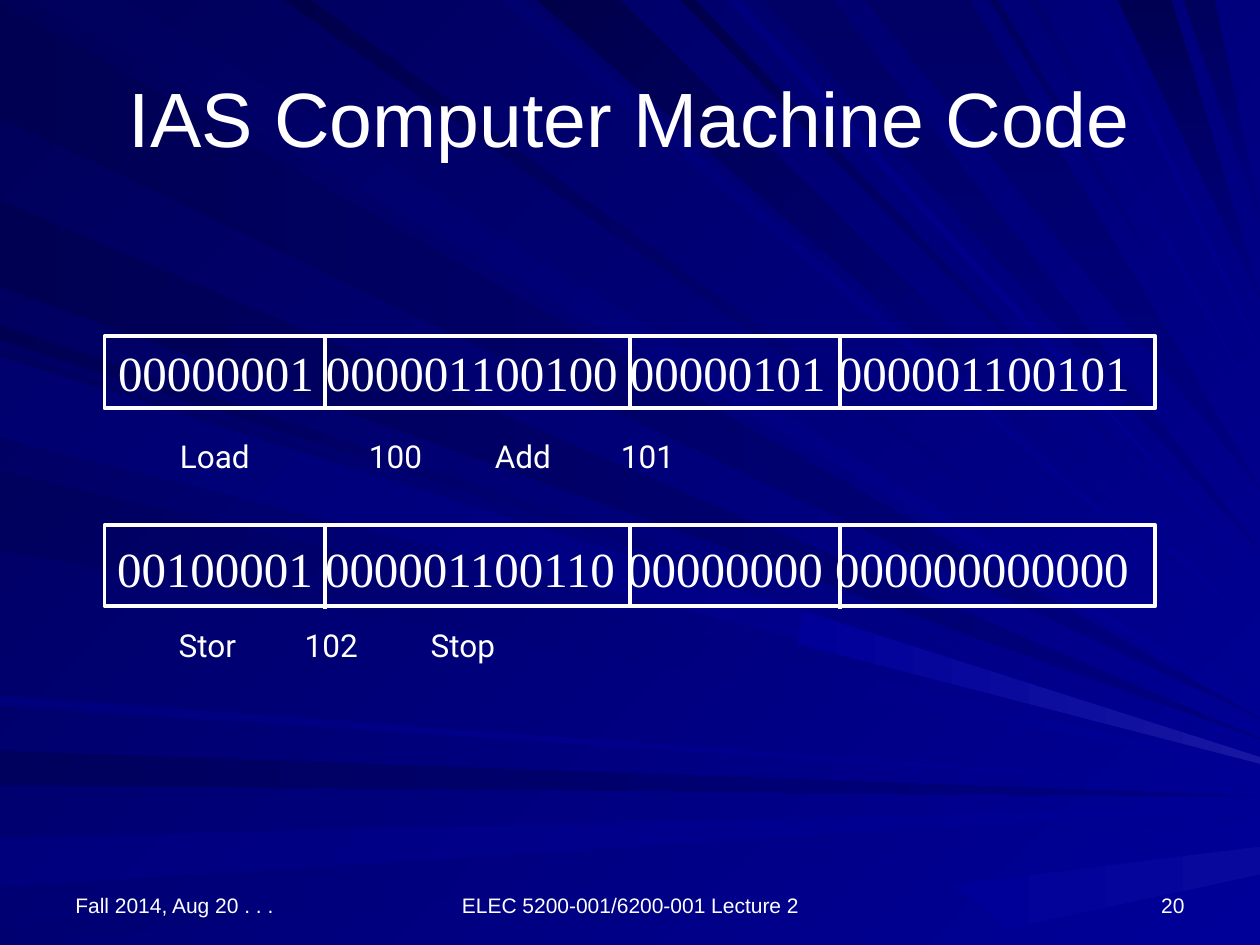
import math
from dataclasses import dataclass

import pptx
import pptx.dml.color
import pptx.enum.shapes
import pptx.enum.text
import pptx.oxml.ns
import pptx.util
from lxml import etree

Inches = pptx.util.Inches
Pt = pptx.util.Pt
ALIGN = pptx.enum.text.PP_ALIGN
ANCHOR = pptx.enum.text.MSO_ANCHOR

COLOURS = {
    "white": "FFFFFF", "blue": "000099", "navy": "000080", "glow": "1717A2",
    "faint glow": "08089C", "corner": "000058", "black": "00004A",
    "dark": "000053", "dusk": "00005D", "deep": "000065", "mid": "00006F",
    "soft": "00007D",
}
WIDTH, HEIGHT = 10, 7.5


@dataclass
class Ray:
    """A beam that enters between two places on one edge and narrows to the right."""
    near: float
    far: float
    start: str
    end: str = "blue"


@dataclass
class Word:
    """One memory word: bits in a box, with decoded fields below."""
    top: float
    height: float
    divider: float
    bits: str
    space_size: int
    label_left: float
    label_width: float
    labels: list[str]


@dataclass
class Footer:
    left: float
    width: float
    text: str
    align: ALIGN


LEFT_RAYS = [
    Ray(0.02, 0.93, "dark", "navy"), Ray(5.96, 6.23, "dusk", "navy"),
    Ray(6.65, 7.04, "soft"), Ray(7.35, 7.5, "mid"), Ray(2.58, 2.7, "dark"),
    Ray(1.59, 2.28, "dark", "navy"), Ray(2.78, 3.42, "dusk"),
    Ray(3.74, 4.37, "dusk"), Ray(5.52, 5.6, "soft"), Ray(2.83, 3.47, "mid"),
]
TOP_RAYS = [
    Ray(0.26, 1.01, "dusk"), Ray(3.98, 4.16, "mid"), Ray(4.26, 4.92, "black"),
    Ray(5.4, 5.52, "black"), Ray(6.06, 6.61, "deep", "navy"),
    Ray(8.87, 9.3, "dark", "navy"), Ray(9.39, 9.64, "dusk", "navy"),
    Ray(2.25, 2.47, "black"), Ray(5.77, 5.88, "soft"),
    Ray(6.86, 7.7, "deep", "navy"), Ray(7.85, 7.92, "dusk"),
    Ray(8.15, 8.24, "mid"), Ray(8.65, 8.72, "soft"),
]
WORDS = [
    Word(2.67, 0.57, 0.58, "00000001 000001100100 00000101 000001100101", 28,
         1.33, 6.63, ["Load", "100", "Add", "101"]),
    Word(4.17, 0.64, 0.66, "00100001 000001100110 00000000 000000000000", 32,
         1.32, 4.73, ["Stor", "102", "Stop"]),
]
BOX_LEFT, BOX_WIDTH = 0.83, 8.34
CENTRE = BOX_LEFT + BOX_WIDTH / 2
DIVIDERS = [CENTRE, 2.58, 6.67]
FOOTERS = [
    Footer(0.5, 2.33, "Fall 2014, Aug 20 . . .", ALIGN.LEFT),
    Footer(3.42, 3.17, "ELEC 5200-001/6200-001 Lecture 2", ALIGN.CENTER),
    Footer(7.17, 2.33, "20", ALIGN.RIGHT),
]


def rgb(name: str) -> pptx.dml.color.RGBColor:
    return pptx.dml.color.RGBColor.from_string(COLOURS[name])


def set_gradient(fill, start: str, end: str, angle: int) -> None:
    fill.gradient()
    fill.gradient_angle = (360 - angle) % 360
    for stop, name in zip(fill.gradient_stops, (start, end)):
        stop.color.rgb = rgb(name)


def set_font(p, font: str, size: int, align: ALIGN) -> None:
    p.alignment = align
    p.font.name = font
    p.font.size = Pt(size)
    p.font.color.rgb = rgb("white")


def set_outline(line) -> None:
    line.color.rgb = rgb("white")
    line.width = Pt(2.25)


def draw_beam(s, corners: list[tuple[float, float]], start: str, end: str, angle: int) -> None:
    points = [(Inches(x), Inches(y)) for x, y in corners]
    builder = s.shapes.build_freeform(*points[0])
    builder.add_line_segments(points[1:], close=True)
    sp = builder.convert_to_shape()
    sp.shadow.inherit = False
    sp.line.fill.background()
    set_gradient(sp.fill, start, end, angle)


def draw_rays(s) -> None:
    # Tips of the top rays lie on an ellipse, those of the left rays on a line
    horizon = 5.65
    for ray in TOP_RAYS:
        middle = (ray.near + ray.far) / 2
        tip = (WIDTH, horizon * math.sqrt(1 - (middle / WIDTH) ** 2))
        draw_beam(s, [(ray.near, 0), tip, (ray.far, 0)], ray.start, ray.end,
                  90 if ray.end == "navy" else 45)
    for ray in LEFT_RAYS:
        tip = (WIDTH, horizon + 0.11 * (ray.near + ray.far) / 2)
        draw_beam(s, [(0, ray.near), tip, (0, ray.far)], ray.start, ray.end,
                  0 if ray.end == "navy" else 45)
    draw_beam(s, [(6.37, 4.85), (6.33, 5.11), (WIDTH, 6.06), (WIDTH, 6.01)], "blue", "glow", 0)
    draw_beam(s, [(7.56, 7.02), (8, 7.37), (WIDTH, 6.94), (WIDTH, 6.72)], "blue", "faint glow", 0)


def add_text(s, left: float, top: float, width: float, height: float, text: str,
             font: str, size: int, align: ALIGN = ALIGN.LEFT):
    sp = s.shapes.add_textbox(Inches(left), Inches(top), Inches(width), Inches(height))
    tf = sp.text_frame
    tf.text = text
    set_font(tf.paragraphs[0], font, size, align)
    return tf


def draw_word(s, word: Word) -> None:
    box = s.shapes.add_shape(pptx.enum.shapes.MSO_SHAPE.RECTANGLE, Inches(BOX_LEFT),
                             Inches(word.top), Inches(BOX_WIDTH), Inches(word.height))
    box.shadow.inherit = False
    box.fill.background()
    set_outline(box.line)
    tf = box.text_frame
    tf.word_wrap = True
    tf.vertical_anchor = ANCHOR.TOP
    p = tf.paragraphs[0]
    set_font(p, "Times New Roman", 28, ALIGN.CENTER)
    p.add_run().text = word.bits
    r = p.add_run()
    r.text = " "
    r.font.size = Pt(word.space_size)

    for x in DIVIDERS:
        line = s.shapes.add_connector(
            pptx.enum.shapes.MSO_CONNECTOR.STRAIGHT, Inches(x), Inches(word.top),
            Inches(x), Inches(word.top + word.divider))
        set_outline(line.line)
        etree.SubElement(line._element.spPr, pptx.oxml.ns.qn("a:effectLst"))
        if x == CENTRE:
            line.begin_connect(box, 0)
            line.end_connect(box, 2)

    add_text(s, word.label_left, word.top + 0.75, word.label_width, 0.4,
             "\t\t".join(word.labels), "Roboto", 18)


def main() -> None:
    prs = pptx.Presentation()
    prs.slide_width, prs.slide_height = Inches(WIDTH), Inches(HEIGHT)
    s = prs.slides.add_slide(prs.slide_layouts[5])

    # Background with light rays
    set_gradient(s.background.fill, "corner", "blue", 45)
    draw_rays(s)

    # Title, brought in front of the rays
    title = s.shapes.title
    title.left, title.top = Inches(0.5), Inches(0.3)
    title.width, title.height = Inches(9), Inches(1.25)
    title.text_frame.text = "IAS Computer Machine Code"
    title.text_frame.vertical_anchor = ANCHOR.MIDDLE
    set_font(title.text_frame.paragraphs[0], "Arial", 44, ALIGN.CENTER)
    s.shapes._spTree.append(title._element)

    # Machine words
    for word in WORDS:
        draw_word(s, word)

    # Footer
    for f in FOOTERS:
        tf = add_text(s, f.left, 6.83, f.width, 0.5, f.text, "Arial", 12, f.align)
        tf.word_wrap = True
        tf.vertical_anchor = ANCHOR.BOTTOM

    prs.save("out.pptx")


if __name__ == "__main__":
    main()
